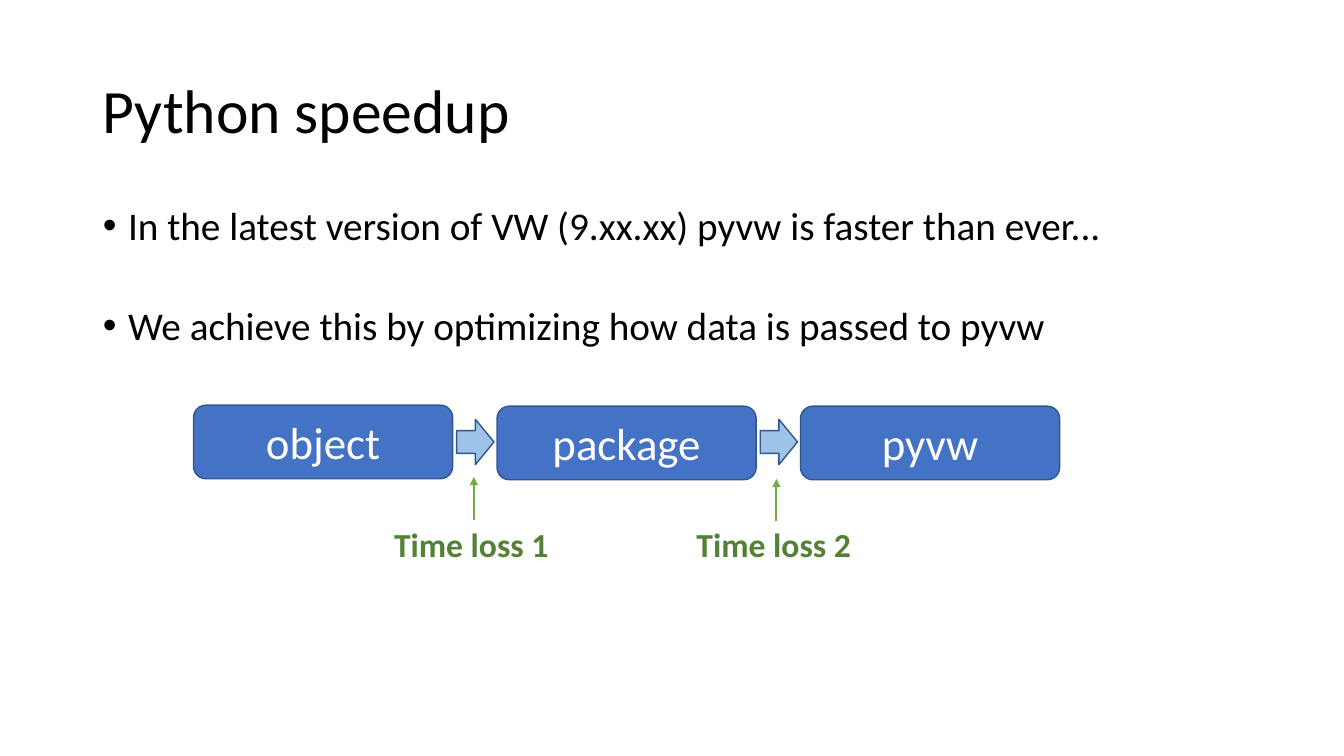
from lxml.etree import SubElement
from pptx import Presentation
from pptx.dml.color import RGBColor
from pptx.enum.shapes import MSO_CONNECTOR as Line, MSO_SHAPE as Kind
from pptx.enum.text import MSO_ANCHOR as Anchor, MSO_AUTO_SIZE as Fit, PP_ALIGN as Align
from pptx.oxml.ns import qn
from pptx.util import Pt

PX = 9144
BLACK = RGBColor(0x00, 0x00, 0x00)
WHITE = RGBColor(0xFF, 0xFF, 0xFF)
BLUE = RGBColor(0x44, 0x72, 0xC4)
NAVY = RGBColor(0x32, 0x54, 0x91)
SKY = RGBColor(0x9D, 0xC3, 0xE6)
GREEN = RGBColor(0x70, 0xAD, 0x47)
MOSS = RGBColor(0x53, 0x81, 0x35)


def scale(*sizes):
    return [size * PX for size in sizes]


def apply(item, form):
    for key, value in form.items():
        setattr(item, key, value)


def write(para, text, size, color, bold=False, **form):
    para.text = text
    apply(para, form)
    apply(para.font, {"name": "Calibri", "size": Pt(size), "bold": bold})
    para.font.color.rgb = color


def place(holder, box, anchor):
    apply(holder, dict(zip(("left", "top", "width", "height"), scale(*box))))
    apply(holder.text_frame, {"auto_size": Fit.NONE, "vertical_anchor": anchor, "word_wrap": True})
    return holder.text_frame


def add_title(slide, text):
    frame = place(slide.shapes.title, (92, 40, 1150, 145), Anchor.MIDDLE)
    write(frame.paragraphs[0], text, 44, BLACK, alignment=Align.LEFT, line_spacing=0.9)


def add_list(slide, lines):
    frame = place(slide.placeholders[1], (92, 200, 1150, 476), Anchor.TOP)
    for i, text in enumerate(lines):
        para = frame.add_paragraph() if i else frame.paragraphs[0]
        props = para._p.get_or_add_pPr()
        props.set("marL", str(25 * PX))
        props.set("indent", str(-25 * PX))
        SubElement(props, qn("a:buChar")).set("char", "•")
        write(para, text, 28, BLACK, line_spacing=0.9, space_before=Pt(41 if i else 0))


def add_block(slide, kind, box, fill, text=""):
    block = slide.shapes.add_shape(kind, *scale(*box))
    block.shadow.inherit = False
    block.fill.solid()
    block.fill.fore_color.rgb = fill
    block.line.color.rgb = NAVY
    block.line.width = Pt(1)
    if text:
        block.text_frame.vertical_anchor = Anchor.MIDDLE
        write(block.text_frame.paragraphs[0], text, 32, WHITE, alignment=Align.CENTER)


def add_label(slide, box, text):
    frame = slide.shapes.add_textbox(*scale(*box)).text_frame
    apply(frame, {"word_wrap": True, "auto_size": Fit.SHAPE_TO_FIT_TEXT})
    write(frame.paragraphs[0], text, 24, MOSS, bold=True)


def add_arrow(slide, x, start, end):
    arrow = slide.shapes.add_connector(Line.STRAIGHT, *scale(x, start, x, end))
    arrow.line.color.rgb = GREEN
    arrow.line.width = Pt(1.5)
    SubElement(arrow.line._get_or_add_ln(), qn("a:tailEnd")).set("type", "triangle")
    SubElement(arrow._element.spPr, qn("a:effectLst"))


def main():
    deck = Presentation()
    deck.slide_width, deck.slide_height = scale(1333, 750)
    slide = deck.slides.add_slide(deck.slide_layouts[1])
    add_title(slide, "Python speedup")
    add_list(slide, (
        "In the latest version of VW (9.xx.xx)\u00a0pyvw is faster than ever...",
        "We achieve this by optimizing how data is passed to pyvw",
    ))
    for i, (text, top) in enumerate((("object", 402), ("package", 403), ("pyvw", 403))):
        add_block(slide, Kind.ROUNDED_RECTANGLE, (192 + 301 * i, top, 257, 73), BLUE, text)
    for i, (start, end) in enumerate(((516, 473), (517, 475))):
        add_block(slide, Kind.RIGHT_ARROW, (453 + 301 * i, 416, 37, 45), SKY)
        add_label(slide, (381 + 300 * i, 515, 180, 50), f"Time loss {i + 1}")
        add_arrow(slide, 470 + 300 * i, start, end)
    deck.save("out.pptx")


if __name__ == "__main__":
    main()
